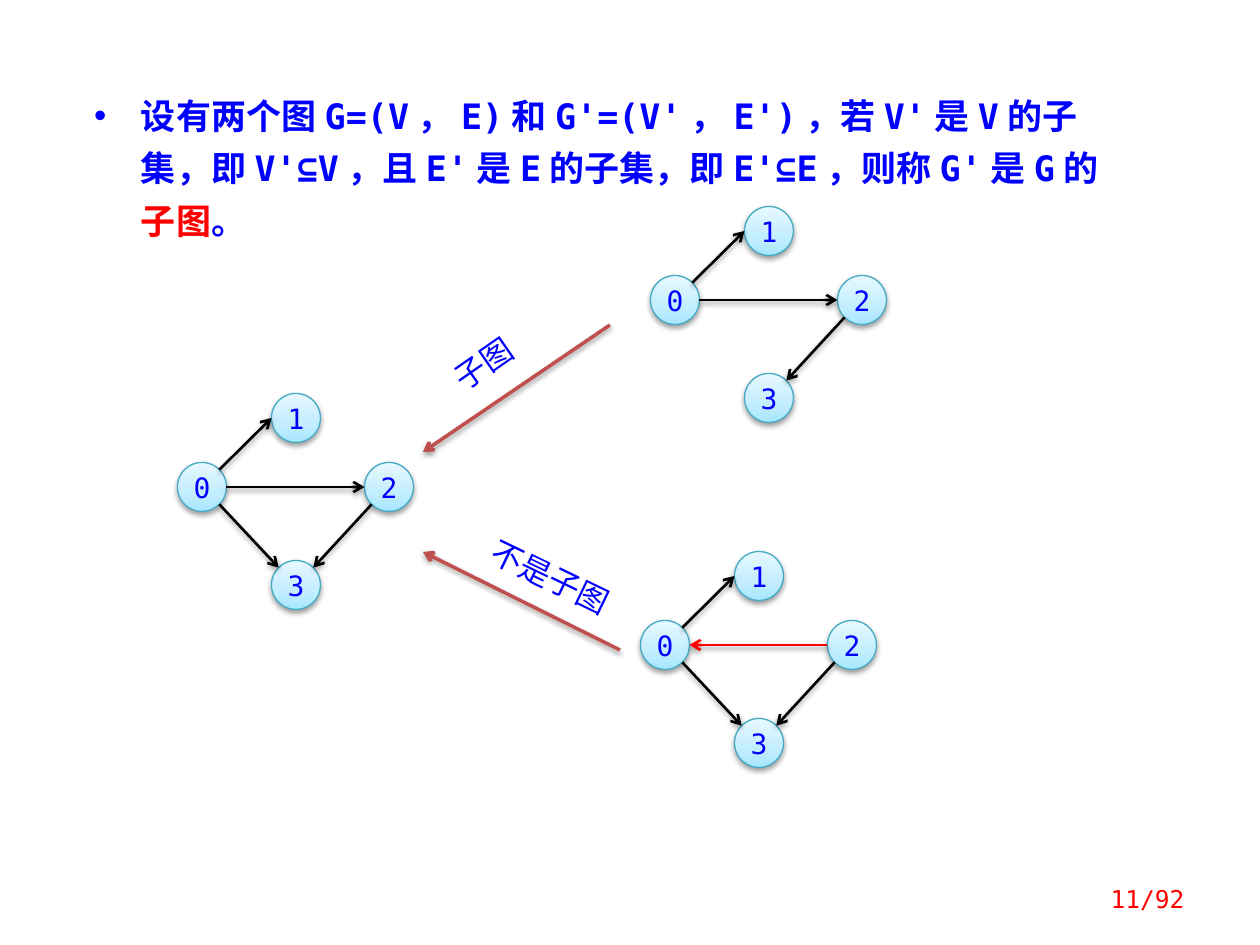
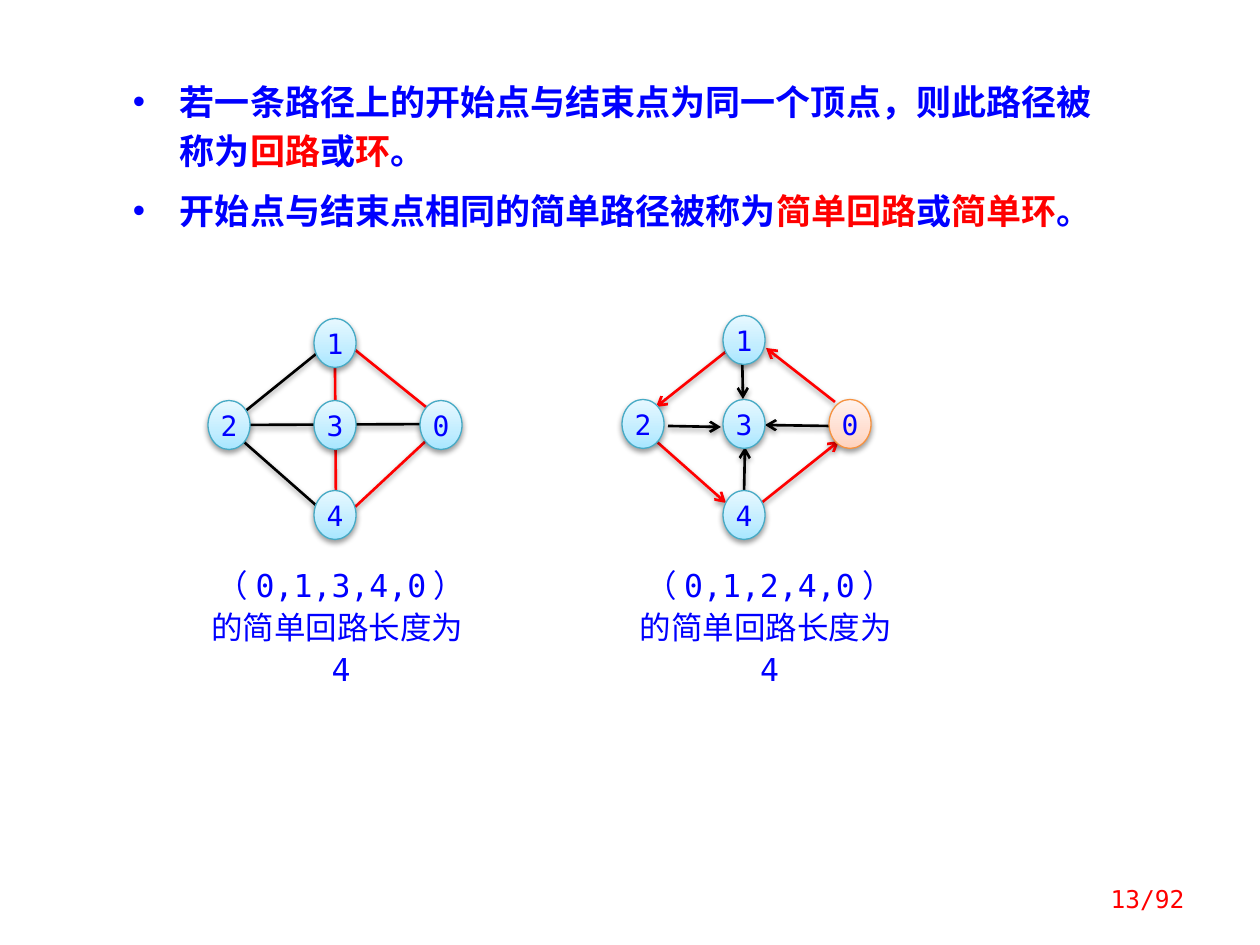
from copy import deepcopy
from dataclasses import dataclass
from math import cos, pi, sin

from lxml.etree import SubElement
from pptx import Presentation
from pptx.dml.color import RGBColor
from pptx.enum.lang import MSO_LANGUAGE_ID as Lang
from pptx.enum.shapes import MSO_CONNECTOR as Conn, MSO_SHAPE as Shape
from pptx.enum.text import MSO_ANCHOR as Anchor, PP_ALIGN as Align
from pptx.oxml.ns import qn
from pptx.util import Emu, Pt


@dataclass(frozen=True)
class Theme:
    font: str = "DejaVu Sans Mono"
    dot: str = "Arial"
    text: str = "0000FF"
    key: str = "FF0000"
    edge: str = "000000"
    link: str = "C0504D"
    paper: str = "FFFFFF"
    body: int = 20
    label: int = 18
    node: int = 16
    page: int = 14


T = Theme()
BLUE = ("46AAC5", ("A7E6FF", "C1EDFF", "E7F8FF"))
PEACH = ("F69240", ("FFD2BD", "FFDED0", "FFF2ED"))
STOPS = (0, 0.35, 1)

# Text between bars is shown in the key colour.
SUB_TEXT = ["设有两个图G=(V，E)和G'=(V'，E')，若V'是V的子集，即V'⊆V，"
            "且E'是E的子集，即E'⊆E，则称G'是G的|子图|。"]
LOOP_TEXT = ["若一条路径上的开始点与结束点为同一个顶点，则此路径被称为|回路|或|环|。",
             "开始点与结束点相同的简单路径被称为|简单回路|或|简单环|。"]

# Vertex centres measured from vertex 0.
SPOTS = {"0": (0, 0), "1": (94, -69), "2": (187, 0), "3": (94, 98)}
# Where an edge leaves and enters its circles, in eighths of a turn.
SITES = {"01": (-1, 4), "02": (0, 4), "20": (4, 0), "03": (1, 5), "23": (3, 7)}
# Centre of vertex 0, black edges, red edges
GRAPHS = [((202, 487), ["02", "01", "23", "03"], []),
          ((675, 300), ["02", "01", "23"], []),
          ((665, 645), ["01", "23", "03"], ["20"])]
LINKS = [(610, 325, 423, 452), (620, 650, 423, 552)]
LABELS = [("子图", (438, 335, 98, 50), 325.1),
          ("不是子图", (475, 553, 158, 50), 25.8)]

LOOPS = [
    dict(nodes={"1": (335, 343), "3": (335, 425), "0": (441, 425),
                "2": (229, 425), "4": (335, 515)},
         black=[(244, 442, 318, 507), (321, 350, 238, 417), (234, 425, 447, 424)],
         red=[(355, 507, 427, 440), (354, 349, 431, 411), (335, 367, 336, 513)],
         arrow=False, start=BLUE,
         note="（0,1,3,4,0）的简单回路长度为4", area=(207, 562, 268, 88)),
    dict(nodes={"1": (744, 340), "3": (744, 424), "0": (850, 424),
                "2": (643, 424), "4": (744, 515)},
         black=[(742, 345, 743, 399), (744, 495, 745, 447),
                (829, 426, 765, 425), (668, 426, 721, 427)],
         red=[(656, 441, 726, 503), (760, 504, 839, 441),
              (835, 402, 766, 348), (728, 350, 656, 407)],
         arrow=True, start=PEACH,
         note="（0,1,2,4,0）的简单回路长度为4", area=(633, 562, 273, 88)),
]


def px(n):
    return Emu(round(n * 914400 / 126))


def rgb(code):
    return RGBColor.from_string(code)


def shade(shape):
    """Give a shape or connector the soft shadow below it."""
    props = shape._element.spPr
    fx = props.find(qn("a:effectLst"))
    if fx is None:
        fx = SubElement(props, qn("a:effectLst"))
    drop = SubElement(fx, qn("a:outerShdw"), blurRad="40000", dist="20000",
                      dir="5400000", rotWithShape="0")
    tint = SubElement(drop, qn("a:srgbClr"), val="000000")
    SubElement(tint, qn("a:alpha"), val="38000")


def write(para, text, size, color=T.text, bold=False):
    """Fill a paragraph, with the parts between bars in the key colour."""
    for i, part in enumerate(text.split("|")):
        run = para.add_run()
        run.text = part
        font = run.font
        font.name, font.size, font.bold = T.font, Pt(size), bold
        font.color.rgb = rgb(T.key if i % 2 else color)
        font.language_id = Lang.SIMPLIFIED_CHINESE


def inset(frame, left, top, right, low):
    frame.margin_left, frame.margin_top = px(left), px(top)
    frame.margin_right, frame.margin_bottom = px(right), px(low)


def box(slide, area, fill=None):
    shape = slide.shapes.add_textbox(*map(px, area))
    shape.text_frame.word_wrap = True
    if fill:
        shape.fill.solid()
        shape.fill.fore_color.rgb = rgb(fill)
    return shape


def bullets(slide, area, items, pitch, low):
    frame = box(slide, area, T.paper).text_frame
    inset(frame, 25, 15, 13, low)
    for i, item in enumerate(items):
        para = frame.add_paragraph() if i else frame.paragraphs[0]
        props = para._p.get_or_add_pPr()
        props.set("marL", str(px(47)))
        props.set("indent", str(px(-47)))
        props.set("hangingPunct", "0")
        SubElement(props, qn("a:buFont"), typeface=T.dot)
        SubElement(props, qn("a:buChar"), char="•")
        para.line_spacing = Pt(pitch)
        if i:
            para.space_before = Pt(6)
        write(para, item, T.body, bold=True)


def page(slide, text):
    frame = box(slide, (1043, 874, 154, 50)).text_frame
    frame.vertical_anchor = Anchor.MIDDLE
    para = frame.paragraphs[0]
    para.alignment = Align.RIGHT
    write(para, text, T.page, T.key)


def line(slide, ends, color, arrow=True, width=1.5):
    edge = slide.shapes.add_connector(Conn.STRAIGHT, *map(px, ends))
    edge.line.color.rgb = rgb(color)
    edge.line.width = Pt(width)
    if arrow:
        SubElement(edge.get_or_add_ln(), qn("a:tailEnd"), type="arrow")
    shade(edge)


def node(slide, name, mid, wide, look=BLUE, tall=49):
    x, y = mid
    area = (x - wide / 2, y - tall / 2, wide, tall)
    oval = slide.shapes.add_shape(Shape.OVAL, *map(px, area))
    rim, tints = look
    oval.fill.gradient()
    oval.fill.gradient_angle = 90
    stops = oval._element.spPr.find(".//" + qn("a:gsLst"))
    stops.insert(1, deepcopy(stops[0]))
    for stop, pos, tint in zip(oval.fill.gradient_stops, STOPS, tints):
        stop.position = pos
        stop.color.rgb = rgb(tint)
    oval.line.color.rgb = rgb(rim)
    oval.line.width = Pt(0.75)
    oval.shadow.inherit = False
    shade(oval)
    frame = oval.text_frame
    inset(frame, 0, 0, 0, 0)
    frame.word_wrap = False
    frame.vertical_anchor = Anchor.MIDDLE
    para = frame.paragraphs[0]
    para.alignment = Align.CENTER
    write(para, name, T.node)


def site(mid, turn, radius=24.5):
    angle = turn * pi / 4
    return mid[0] + radius * cos(angle), mid[1] + radius * sin(angle)


def subgraphs(slide):
    bullets(slide, (69, 69, 1063, 136), SUB_TEXT, 30, 15)
    for (x, y), black, red in GRAPHS:
        mids = {name: (x + dx, y + dy) for name, (dx, dy) in SPOTS.items()}
        for name, mid in mids.items():
            node(slide, name, mid, 49)
        for pair in black + red:
            ends = [site(mids[n], t) for n, t in zip(pair, SITES[pair])]
            line(slide, ends[0] + ends[1], T.key if pair in red else T.edge)
    for ends in LINKS:
        line(slide, ends, T.link, width=2)
    for text, area, turn in LABELS:
        label = box(slide, area)
        label.rotation = turn
        write(label.text_frame.paragraphs[0], text, T.label)
    page(slide, "11/92")


def loops(slide):
    bullets(slide, (108, 59, 1014, 194), LOOP_TEXT, 28, 20)
    for loop in LOOPS:
        for color, edges in ((T.edge, loop["black"]), (T.key, loop["red"])):
            for ends in edges:
                line(slide, ends, color, loop["arrow"])
        for name, mid in loop["nodes"].items():
            node(slide, name, mid, 42, loop["start"] if name == "0" else BLUE)
        frame = box(slide, loop["area"], T.paper).text_frame
        inset(frame, 0, 0, 0, 0)
        para = frame.paragraphs[0]
        para.alignment = Align.CENTER
        para.line_spacing = Pt(24)
        write(para, loop["note"], T.label)
    page(slide, "13/92")


def main():
    deck = Presentation()
    deck.slide_width, deck.slide_height = px(1260), px(945)
    for build in (subgraphs, loops):
        build(deck.slides.add_slide(deck.slide_layouts[6]))
    deck.save("out.pptx")


if __name__ == "__main__":
    main()
